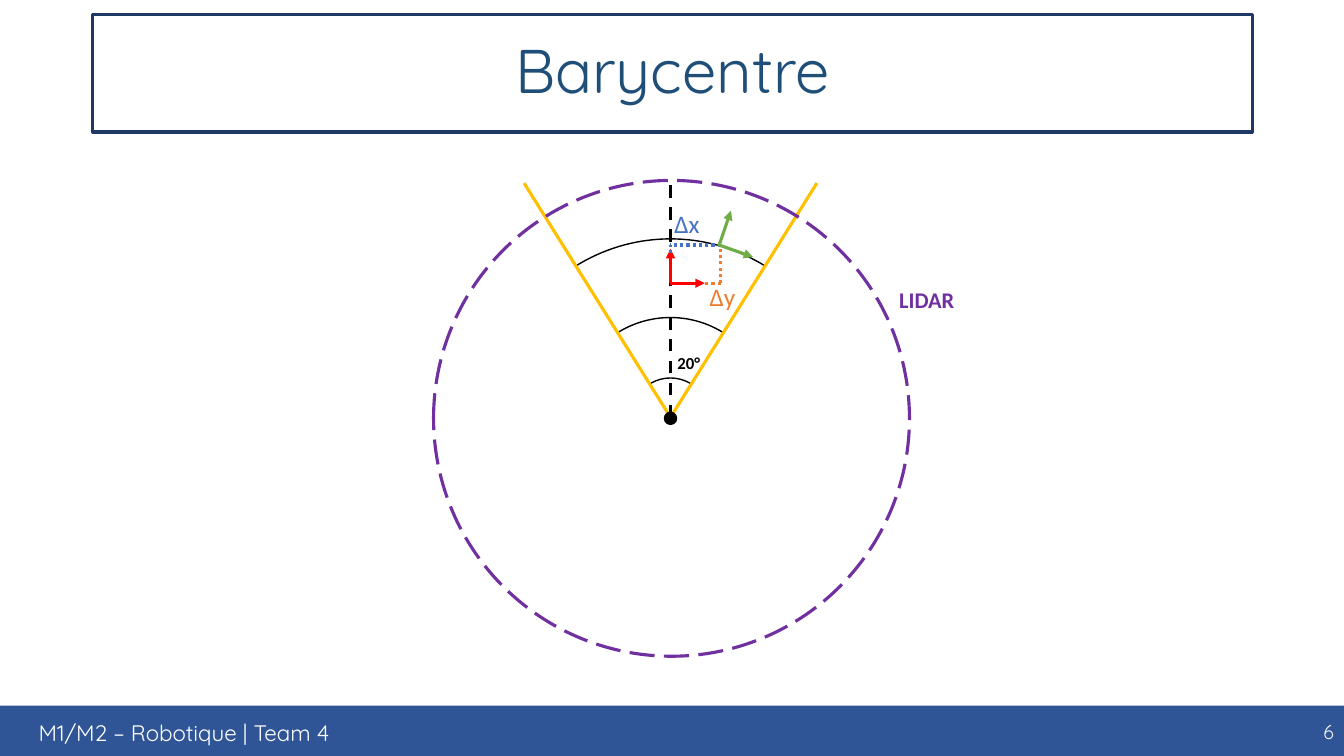
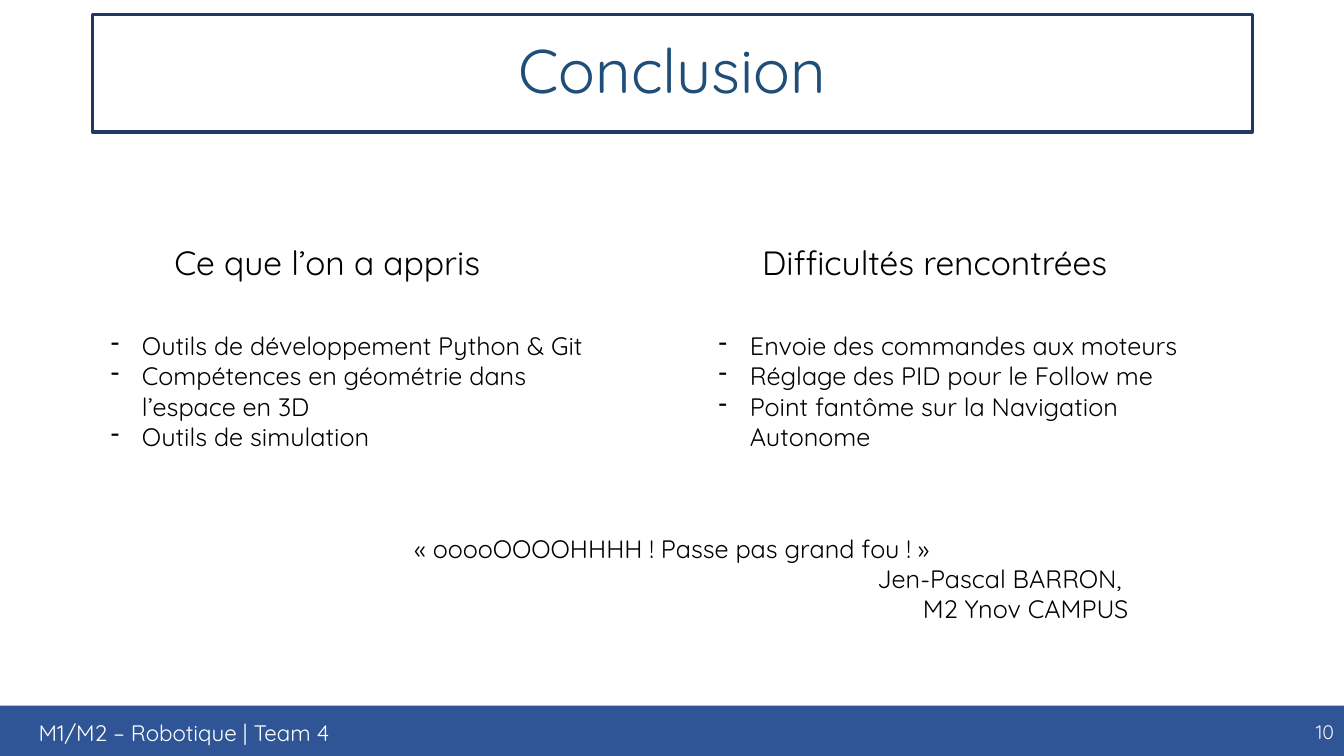
from math import cos, radians, sin

from lxml.etree import SubElement
from pptx import Presentation
from pptx.dml.color import RGBColor
from pptx.enum.dml import MSO_LINE as DASH
from pptx.enum.shapes import MSO_CONNECTOR as CONN, MSO_SHAPE as SHAPE
from pptx.enum.text import MSO_ANCHOR as ANCHOR, MSO_AUTO_SIZE as FIT, PP_ALIGN as ALIGN
from pptx.oxml.ns import qn
from pptx.util import Inches, Pt

COLORS = {
    "navy": "203864", "title": "1F4E79", "band": "2F5597", "page": "F2F2F2",
    "white": "FFFFFF", "black": "000000", "yellow": "FFC000", "purple": "7030A0",
    "red": "FF0000", "green": "70AD47", "blue": "4472C4", "orange": "ED7D31",
}
FOOTER = "M1/M2 – Robotique | Team 4"


def rgb(name):
    return RGBColor.from_string(COLORS[name])


class Deck:
    font = "Quicksand"
    thick = 2.25

    def __init__(self):
        self.prs = Presentation()
        self.prs.slide_width, self.prs.slide_height = Inches(13.33), Inches(7.5)
        self.s = None

    def slide(self, title, number):
        self.s = self.prs.slides.add_slide(self.prs.slide_layouts[5])
        sp = self.s.shapes.title
        box = {"left": 0.92, "top": 0.14, "width": 11.5, "height": 1.17}
        for key, value in box.items():
            setattr(sp, key, Inches(value))
        self.outline(sp.line, "navy", self.thick)
        sp.text_frame.vertical_anchor = ANCHOR.MIDDLE
        self.fill_text(sp.text_frame, [title], 44, "title", align=ALIGN.CENTER, line_spacing=0.9)
        band = self.shape(SHAPE.RECTANGLE, (0, 7, 13.33, 0.51), fill="band")
        band.text_frame.vertical_anchor = ANCHOR.MIDDLE
        self.fill_text(band.text_frame, [str(number)], 14, "page", align=ALIGN.RIGHT)
        self.text((0, 7.09, 3.65, 0.37), [FOOTER], 16, "white",
                  align=ALIGN.CENTER, space_after=Pt(6))

    def outline(self, line, color, width, dash=None):
        line.color.rgb = rgb(color)
        line.width = Pt(width)
        if dash is not None:
            line.dash_style = dash

    def fill_text(self, tf, lines, size, color, font=None, bold=False, bullet=False,
                  align=ALIGN.LEFT, **layout):
        for i, line in enumerate(lines):
            p = tf.paragraphs[0] if i == 0 else tf.add_paragraph()
            if bullet:
                pPr = p._p.get_or_add_pPr()
                pPr.set("marL", str(Inches(0.31)))
                pPr.set("indent", str(-Inches(0.31)))
                SubElement(pPr, qn("a:buFontTx"))
                SubElement(pPr, qn("a:buChar")).set("char", "-")
            for key, value in {"alignment": align, **layout}.items():
                setattr(p, key, value)
            for j, part in enumerate(line.split("\n")):
                if j:
                    p.add_line_break()
                r = p.add_run()
                r.text = part
                style = {"name": font or self.font, "size": Pt(size), "bold": bold}
                for key, value in style.items():
                    setattr(r.font, key, value)
                r.font.color.rgb = rgb(color)

    def text(self, box, lines, size, color, wrap=True, **style):
        sp = self.s.shapes.add_textbox(*map(Inches, box))
        tf = sp.text_frame
        tf.word_wrap = wrap
        tf.auto_size = FIT.SHAPE_TO_FIT_TEXT
        self.fill_text(tf, lines, size, color, **style)
        return sp

    def shape(self, kind, box, fill=None, line=None, width=1, dash=None):
        sp = self.s.shapes.add_shape(kind, *map(Inches, box))
        sp.shadow.inherit = False
        if fill:
            sp.fill.solid()
            sp.fill.fore_color.rgb = rgb(fill)
        else:
            sp.fill.background()
        if line:
            self.outline(sp.line, line, width, dash)
        else:
            sp.line.fill.background()
        return sp

    def circle(self, center, radius, kind=SHAPE.OVAL, **style):
        x, y = center
        return self.shape(kind, (x - radius, y - radius, 2 * radius, 2 * radius), **style)

    def arc(self, center, radius, half_angle):
        sp = self.circle(center, radius, SHAPE.ARC, line="black")
        for i, angle in enumerate((270 - half_angle, 270 + half_angle)):
            sp.adjustments[i] = angle * 0.6

    def line(self, start, end, color, dash=None, arrow=False):
        cx = self.s.shapes.add_connector(CONN.STRAIGHT, *map(Inches, (*start, *end)))
        self.outline(cx.line, color, self.thick, dash)
        spPr = cx._element.spPr
        if arrow:
            SubElement(spPr.find(qn("a:ln")), qn("a:tailEnd")).set("type", "triangle")
        SubElement(spPr, qn("a:effectLst"))


def barycentre(deck):
    deck.slide("Barycentre", 6)
    robot = x, y = 6.65, 4.14
    half_angle, reach = 32, 2.74
    base, target = (x, 2.81), (7.15, 2.43)
    corner = target[0], base[1]

    for radius in (1.77, 0.99, 0.39):
        deck.arc(robot, radius, half_angle)
    deck.line(corner, target, "orange", DASH.ROUND_DOT)
    deck.line(corner, base, "orange", DASH.ROUND_DOT)
    deck.line(target, (x, target[1]), "blue", DASH.ROUND_DOT)
    angle = radians(half_angle)
    for side in (-1, 1):
        deck.line(robot, (x + side * reach * sin(angle), y - reach * cos(angle)), "yellow")
    deck.circle((6.66, 4.15), 2.36, line="purple", width=deck.thick, dash=DASH.LONG_DASH)
    deck.circle((x, 4.15), 0.06, fill="black", line="black")
    deck.line(robot, (x, 1.78), "black", DASH.DASH)
    for origin, tip, color in (
        (base, (x, 2.47), "red"),
        (base, (6.99, base[1]), "red"),
        ((7.13, 2.44), (7.25, 2.09), "green"),
        ((7.13, 2.43), (7.47, 2.55), "green"),
    ):
        deck.line(origin, tip, color, arrow=True)
    deck.line((x, 2.51), (x, target[1]), "blue", DASH.ROUND_DOT)
    for label, box, size, color, bold in (
        ("20°", (6.62, 3.45, 0.43, 0.3), 12, "black", True),
        ("Δy", (6.94, 2.74, 0.5, 0.4), 18, "orange", False),
        ("Δx", (6.59, 2.02, 0.5, 0.4), 18, "blue", False),
        ("LIDAR", (8.82, 2.79, 0.76, 0.37), 16, "purple", True),
    ):
        deck.text(box, [label], size, color, wrap=not bold, font="Calibri", bold=bold)


def conclusion(deck):
    deck.slide("Conclusion", 10)
    for heading, head_left, head_width, left, items in (
        ("Ce que l’on a appris", 1.47, 3.55, 1, [
            "Outils de développement Python & Git",
            "Compétences en géométrie dans l’espace en 3D",
            "Outils de simulation",
        ]),
        ("Difficultés rencontrées", 7.37, 3.8, 7.03, [
            "Envoie des commandes aux moteurs",
            "Réglage des PID pour le Follow me",
            "Point fantôme sur la Navigation Autonome",
        ]),
    ):
        deck.text((head_left, 2.35, head_width, 0.5), [heading], 24, "black",
                  wrap=False, align=ALIGN.CENTER)
        deck.text((left, 3.23, 5.31, 1.31), items, 18, "black", bullet=True)
    quote = deck.text((2.04, 5.24, 9.25, 1.01), [
        "« ooooOOOOHHHH ! Passe pas grand fou ! »",
        "Jen-Pascal BARRON, \nM2 Ynov CAMPUS",
    ], 18, "black", align=ALIGN.CENTER)
    quote.text_frame.paragraphs[1].alignment = ALIGN.RIGHT


def main():
    deck = Deck()
    barycentre(deck)
    conclusion(deck)
    deck.prs.save("out.pptx")


if __name__ == "__main__":
    main()
